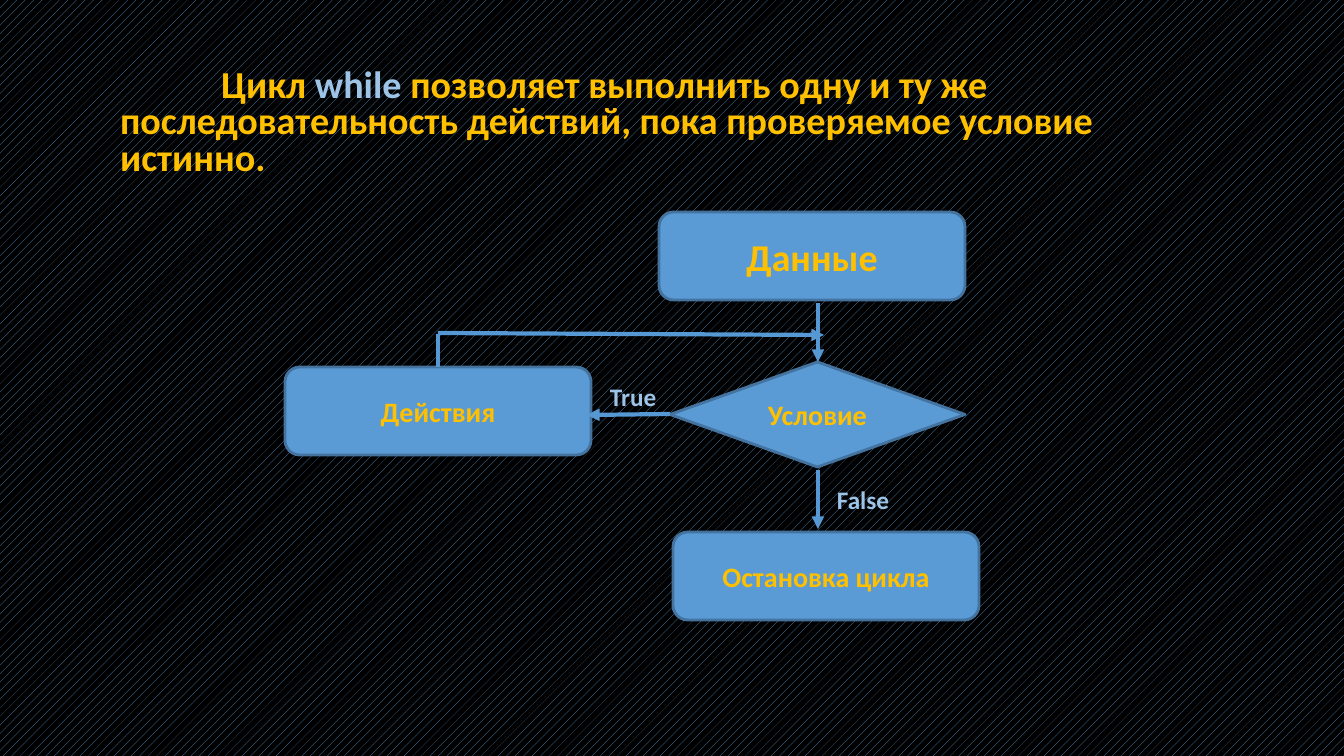
from dataclasses import dataclass

from lxml.etree import SubElement
from pptx import Presentation
from pptx.dml.color import RGBColor
from pptx.enum.dml import MSO_PATTERN
from pptx.enum.shapes import MSO_CONNECTOR, MSO_SHAPE
from pptx.enum.text import MSO_ANCHOR, MSO_AUTO_SIZE, PP_ALIGN
from pptx.oxml.ns import qn
from pptx.util import Emu, Pt


@dataclass(frozen=True)
class Theme:
    """Colours, font and sizes of the slide."""
    font: str = "Calibri"
    backdrop: str = "000000"
    block: str = "5B9BD5"
    outline: str = "43739E"
    arrow: str = "5698D3"
    accent: str = "FFC000"
    pale: str = "9DC3E6"
    statement: float = 27.2
    data: float = 27
    step: float = 20
    branch: float = 18
    outline_width: float = 2
    arrow_width: float = 3


THEME = Theme()
SCALE = 914400 / 100.8

STATEMENT = [
    ("Цикл ", THEME.accent),
    ("while", THEME.pale),
    (" позволяет выполнить одну и ту же последовательность действий, "
     "пока проверяемое условие истинно.", THEME.accent),
]
STATEMENT_BOX = (110, 64, 1143, 92)
STATEMENT_INDENT = 101

BLOCK = (306, 88)
DIAMOND = (295, 105)
STEPS = [
    ("Данные", MSO_SHAPE.ROUNDED_RECTANGLE, (659, 212), BLOCK, THEME.data),
    ("Условие", MSO_SHAPE.DIAMOND, (670, 362), DIAMOND, THEME.step),
    ("Остановка цикла", MSO_SHAPE.ROUNDED_RECTANGLE, (673, 532), BLOCK, THEME.step),
    ("Действия", MSO_SHAPE.ROUNDED_RECTANGLE, (285, 367), BLOCK, THEME.step),
]
BRANCHES = [("True", (600, 376, 71, 40)), ("False", (827, 479, 108, 40))]

# Main flow runs down the diamond's axis; the loop returns above the actions.
FLOW_X = 670 + DIAMOND[0] // 2 + 1
LOOP_X = 285 + BLOCK[0] // 2
ARROWS = [
    ((FLOW_X, 303), (FLOW_X, 362), True),
    ((FLOW_X, 470), (FLOW_X, 529), True),
    ((670, 414), (587, 415), True),
    ((LOOP_X, 333), (824, 335), True),
    ((LOOP_X, 367), (LOOP_X, 334), False),
]


def px(*lengths):
    """Turn pixel lengths into EMU."""
    return [Emu(round(length * SCALE)) for length in lengths]


def rgb(colour):
    """Make a colour from its hex code."""
    return RGBColor.from_string(colour)


def write(frame, runs, *, size, align=PP_ALIGN.LEFT, anchor=MSO_ANCHOR.TOP,
          spacing=None, before=None, indent=0):
    """Write (text, colour) runs as one bold paragraph."""
    frame.word_wrap = True
    frame.auto_size = MSO_AUTO_SIZE.NONE
    frame.vertical_anchor = anchor
    paragraph = frame.paragraphs[0]
    paragraph.alignment = align
    paragraph.line_spacing = spacing
    if before is not None:
        paragraph.space_before = Pt(before)
    if indent:
        properties = paragraph._p.get_or_add_pPr()
        properties.set("marL", "0")
        properties.set("indent", str(px(indent)[0]))
    for text, colour in runs:
        run = paragraph.add_run()
        run.text = text
        run.font.name = THEME.font
        run.font.size = Pt(size)
        run.font.bold = True
        run.font.color.rgb = rgb(colour)


def add_step(slide, label, outline, corner, extent, size):
    """Draw one block of the flowchart."""
    step = slide.shapes.add_shape(outline, *px(*corner, *extent))
    step.shadow.inherit = False
    step.fill.solid()
    step.fill.fore_color.rgb = rgb(THEME.block)
    step.line.color.rgb = rgb(THEME.outline)
    step.line.width = Pt(THEME.outline_width)
    write(step.text_frame, [(label, THEME.accent)], size=size,
          align=PP_ALIGN.CENTER, anchor=MSO_ANCHOR.MIDDLE)


def add_arrow(slide, start, end, has_head):
    """Draw a straight connector, with an arrowhead if asked."""
    arrow = slide.shapes.add_connector(MSO_CONNECTOR.STRAIGHT, *px(*start, *end))
    arrow.line.color.rgb = rgb(THEME.arrow)
    arrow.line.width = Pt(THEME.arrow_width)
    if has_head:
        SubElement(arrow.line._get_or_add_ln(), qn("a:tailEnd"), type="triangle")
    SubElement(arrow._element.spPr, qn("a:effectLst"))


def main():
    """Build the slide and save it."""
    deck = Presentation()
    deck.slide_width, deck.slide_height = px(1344, 756)
    slide = deck.slides.add_slide(deck.slide_layouts.get_by_name("Title Only"))

    backdrop = slide.background.fill
    backdrop.patterned()
    backdrop.pattern = MSO_PATTERN.PERCENT_20
    backdrop.fore_color.rgb = rgb(THEME.block)
    backdrop.back_color.rgb = rgb(THEME.backdrop)

    statement = slide.shapes.title
    statement.left, statement.top, statement.width, statement.height = px(*STATEMENT_BOX)
    write(statement.text_frame, STATEMENT, size=THEME.statement,
          spacing=0.8, before=10, indent=STATEMENT_INDENT)

    for step in STEPS:
        add_step(slide, *step)
    for arrow in ARROWS:
        add_arrow(slide, *arrow)
    for label, box in BRANCHES:
        branch = slide.shapes.add_textbox(*px(*box))
        write(branch.text_frame, [(label, THEME.pale)], size=THEME.branch)

    deck.save("out.pptx")


main()
